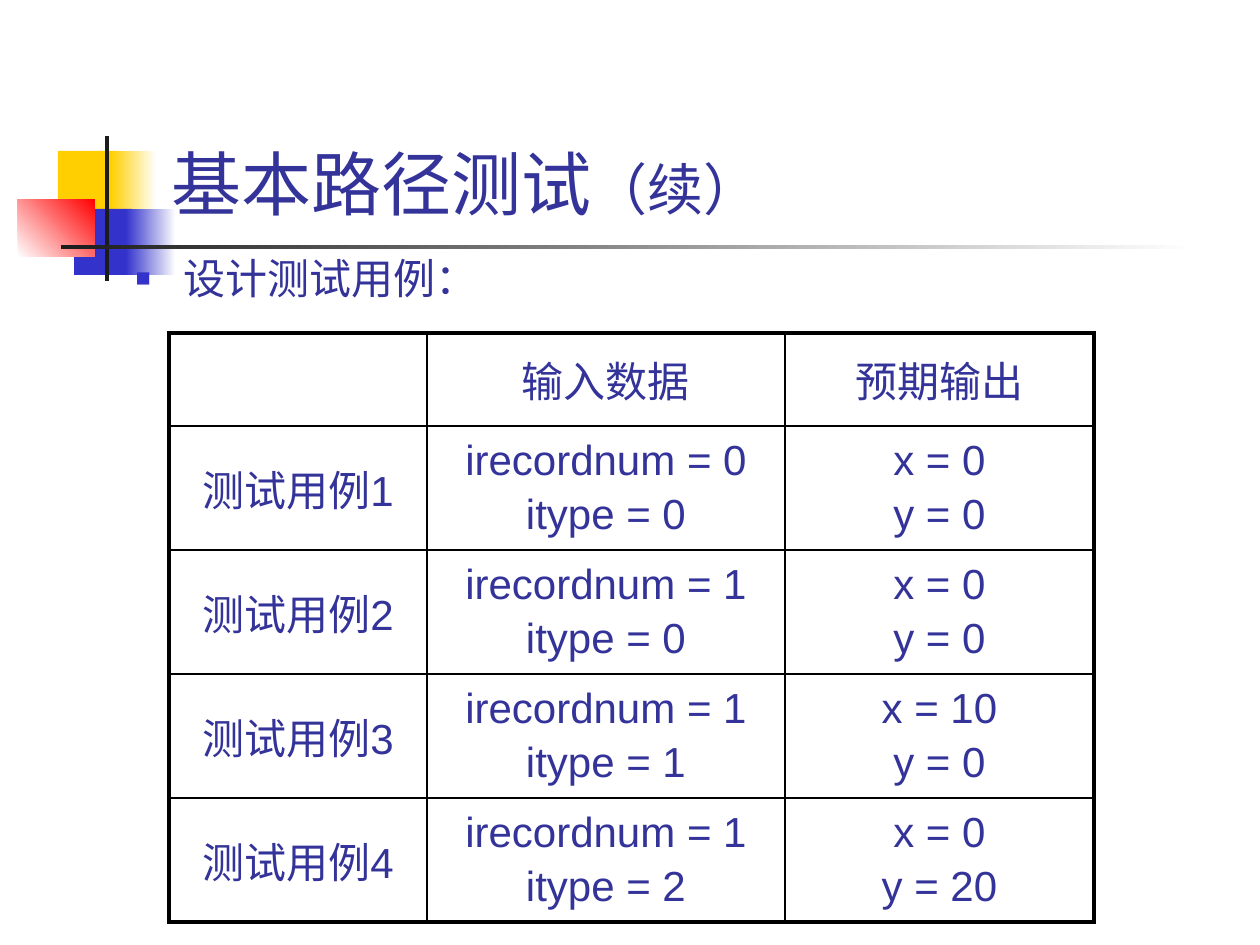
from dataclasses import dataclass

from lxml import etree
from pptx import Presentation
from pptx import util as u
from pptx.dml.color import RGBColor
from pptx.enum import shapes, text
from pptx.oxml import ns

PX = 914400 / 126
COLORS = {
    "ink": "333399", "blue": "3333CC", "yellow": "FFCF01", "red": "FF0000",
    "bar": "1C1C1C", "white": "FFFFFF", "border": "000000",
}
THIN, THICK = 1, 2.25
CENTERED = {"alignment": text.PP_ALIGN.CENTER, "space_before": u.Pt(4)}


@dataclass(frozen=True)
class Block:
    """A decorative rectangle; with an end colour it is a gradient."""
    left: int
    top: int
    width: int
    height: int
    start: str
    end: str = ""
    angle: int = 0


BLOCKS = [
    Block(58, 151, 60, 66, "yellow"),
    Block(111, 151, 45, 66, "yellow", "white"),
    Block(74, 209, 58, 66, "blue"),
    Block(126, 209, 50, 66, "blue", "white"),
    Block(18, 199, 77, 58, "white", "red", 45),
    Block(105, 136, 4, 145, "bar"),
    Block(61, 245, 1134, 4, "bar", "white"),
]
COLUMN_WIDTHS = [258, 358, 309]
ROW_HEIGHTS = [93] + [124] * 4
CASES = [(0, 0, 0, 0), (1, 0, 0, 0), (1, 1, 10, 0), (1, 2, 0, 20)]
ROWS = [[[], ["输入数据"], ["预期输出"]]] + [
    [[f"测试用例{number}"],
     [f"irecordnum = {record}", f"itype = {kind}"],
     [f"x = {x}", f"y = {y}"]]
    for number, (record, kind, x, y) in enumerate(CASES, 1)
]


def px(value: int) -> int:
    return round(value * PX)


def rgb(name: str) -> RGBColor:
    return RGBColor.from_string(COLORS[name])


def apply(target, values: dict) -> None:
    for name, value in values.items():
        setattr(target, name, value)


def place(shape, left: int, top: int, width: int, height: int) -> None:
    apply(shape, {"left": px(left), "top": px(top),
                  "width": px(width), "height": px(height)})


def add_span(para, words: str, size: int) -> None:
    span = para.add_run()
    span.text = words
    apply(span.font, {"size": u.Pt(size), "name": "Arial"})
    span.font.color.rgb = rgb("ink")


def add_block(page, block: Block) -> None:
    box = page.shapes.add_shape(
        shapes.MSO_SHAPE.RECTANGLE, px(block.left), px(block.top),
        px(block.width), px(block.height))
    box.shadow.inherit = False
    box.line.fill.background()
    if not block.end:
        box.fill.solid()
        box.fill.fore_color.rgb = rgb(block.start)
        return
    box.fill.gradient()
    box.fill.gradient_angle = block.angle
    for stop, name in zip(box.fill.gradient_stops, (block.start, block.end)):
        stop.color.rgb = rgb(name)


def set_borders(cell, widths: dict[str, float]) -> None:
    properties = cell._tc.get_or_add_tcPr()
    for side, width in widths.items():
        line = etree.SubElement(properties, ns.qn(f"a:ln{side}"),
                                w=str(u.Pt(width)))
        fill = etree.SubElement(line, ns.qn("a:solidFill"))
        etree.SubElement(fill, ns.qn("a:srgbClr"), val=COLORS["border"])


def set_bullet(para) -> None:
    """Give the paragraph a small blue square and a hanging indent."""
    properties = para._p.get_or_add_pPr()
    properties.set("marL", str(u.Inches(0.38)))
    properties.set("indent", str(u.Inches(-0.38)))
    color = etree.SubElement(properties, ns.qn("a:buClr"))
    etree.SubElement(color, ns.qn("a:srgbClr"), val=COLORS["blue"])
    etree.SubElement(properties, ns.qn("a:buSzPct"), val="60000")
    etree.SubElement(properties, ns.qn("a:buChar"), char="■")


def add_case_table(page) -> None:
    frame = page.shapes.add_table(len(ROW_HEIGHTS), len(COLUMN_WIDTHS),
                                  px(169), px(333), px(sum(COLUMN_WIDTHS)),
                                  px(sum(ROW_HEIGHTS)))
    table = frame.table
    apply(table, {"first_row": False, "horz_banding": False})
    for column, width in zip(table.columns, COLUMN_WIDTHS):
        column.width = px(width)
    for row, height in zip(table.rows, ROW_HEIGHTS):
        row.height = px(height)
    last_row, last_column = len(ROW_HEIGHTS) - 1, len(COLUMN_WIDTHS) - 1
    for r, row in enumerate(ROWS):
        for c, lines in enumerate(row):
            cell = table.cell(r, c)
            cell.vertical_anchor = text.MSO_ANCHOR.MIDDLE
            outer = {"L": c == 0, "R": c == last_column,
                     "T": r == 0, "B": r == last_row}
            set_borders(cell, {side: THICK if edge else THIN
                               for side, edge in outer.items()})
            cell.fill.background()
            for index, words in enumerate(lines):
                body = cell.text_frame
                para = body.add_paragraph() if index else body.paragraphs[0]
                apply(para, CENTERED)
                add_span(para, words, 24)


def fill_title(title) -> None:
    place(title, 159, 29, 1074, 202)
    title.text_frame.vertical_anchor = text.MSO_ANCHOR.BOTTOM
    para = title.text_frame.paragraphs[0]
    para.alignment = text.PP_ALIGN.LEFT
    add_span(para, "基本路径测试", 40)
    add_span(para, "（续）", 32)


def fill_body(body) -> None:
    place(body, 123, 244, 1074, 665)
    para = body.text_frame.paragraphs[0]
    apply(para, {"line_spacing": 1.05, "space_before": u.Pt(4)})
    set_bullet(para)
    add_span(para, "设计测试用例：", 24)


def main() -> None:
    deck = Presentation()
    apply(deck, {"slide_width": px(1260), "slide_height": px(945)})
    page = deck.slides.add_slide(deck.slide_layouts[1])
    title, body = page.shapes.title, page.placeholders[1]
    tree = title.element.getparent()
    for block in BLOCKS:
        add_block(page, block)
    fill_title(title)
    tree.append(title.element)
    add_case_table(page)
    fill_body(body)
    tree.append(body.element)
    deck.save("out.pptx")


if __name__ == "__main__":
    main()
